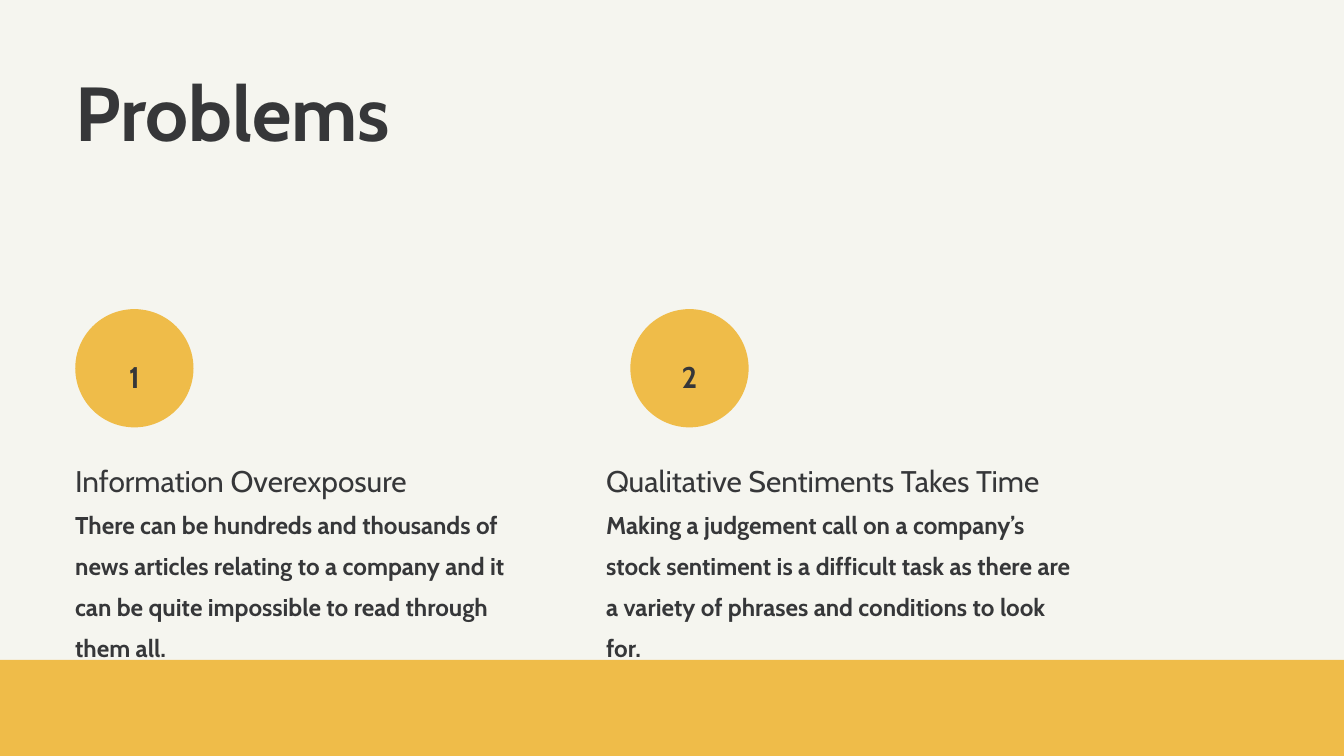
from dataclasses import dataclass

from pptx import Presentation
from pptx.dml.color import RGBColor
from pptx.enum.shapes import MSO_SHAPE
from pptx.enum.text import MSO_ANCHOR, MSO_AUTO_SIZE, PP_ALIGN
from pptx.util import Inches, Pt

INK = "363739"
GOLD = "EFBC49"
PAPER = "F5F5EF"
WIDE = 10
HIGH = WIDE * 9 / 16
LEFT = 0.56
BAND = 4.91
FRAME = {
    "margin_left": 0,
    "margin_top": 0,
    "margin_right": 0,
    "margin_bottom": 0,
    "word_wrap": True,
    "auto_size": MSO_AUTO_SIZE.NONE,
    "vertical_anchor": MSO_ANCHOR.TOP,
}


@dataclass
class Item:
    mark: str
    disc: float
    left: float
    head: str
    body: str


ITEMS = [
    Item(
        "1", LEFT, LEFT, "Information Overexposure",
        "There can be hundreds and thousands of news articles relating to a "
        "company and it can be quite impossible to read through them all.",
    ),
    Item(
        "2", 4.69, 4.51, "Qualitative Sentiments Takes Time",
        "Making a judgement call on a company’s stock sentiment is a difficult "
        "task as there are a variety of phrases and conditions to look for.",
    ),
]


def paint(color, code: str) -> None:
    color.rgb = RGBColor.from_string(code)


def format_all(target, values: dict) -> None:
    for name, value in values.items():
        setattr(target, name, value)


def add_run(para, text: str, size: float, bold: bool) -> None:
    run = para.add_run()
    run.text = text
    format_all(run.font, {"name": "Cabin", "size": Pt(size), "bold": bold})
    paint(run.font.color, INK)


def set_up(shape, space: float, align=PP_ALIGN.LEFT):
    format_all(shape.text_frame, FRAME)
    para = shape.text_frame.paragraphs[0]
    format_all(para, {"line_spacing": space, "alignment": align})
    return para


def add_box(slide, left: float, top: float, width: float, height: float):
    return slide.shapes.add_textbox(
        Inches(left), Inches(top), Inches(width), Inches(height)
    )


def add_fill(slide, kind, left: float, top: float, width: float, height: float) -> None:
    shape = slide.shapes.add_shape(
        kind, Inches(left), Inches(top), Inches(width), Inches(height)
    )
    shape.shadow.inherit = False
    shape.fill.solid()
    paint(shape.fill.fore_color, GOLD)
    shape.line.fill.background()


def add_mark(slide, item: Item) -> None:
    add_fill(slide, MSO_SHAPE.OVAL, item.disc, 2.3, 0.88, 0.88)
    box = add_box(slide, item.disc + 0.23, 2.6, 0.42, 0.27)
    add_run(set_up(box, 1.25, PP_ALIGN.CENTER), item.mark, 16, True)


def add_copy(slide, item: Item) -> None:
    para = set_up(add_box(slide, item.left, 3.34, 3.46, 1.53), 1.4)
    add_run(para, item.head, 16, False)
    para.add_line_break()
    add_run(para, item.body, 13, True)


def main() -> None:
    deck = Presentation()
    format_all(deck, {"slide_width": Inches(WIDE), "slide_height": Inches(HIGH)})
    slide = deck.slides.add_slide(deck.slide_layouts[5])
    slide.background.fill.solid()
    paint(slide.background.fill.fore_color, PAPER)

    title = slide.shapes.title
    format_all(title, {
        "left": Inches(LEFT),
        "top": Inches(0.56),
        "width": Inches(7.09),
        "height": Inches(0.79),
    })
    add_run(set_up(title, 0.9), "Problems", 41, True)

    for item in ITEMS:
        add_mark(slide, item)
    add_fill(slide, MSO_SHAPE.RECTANGLE, 0, BAND, WIDE, HIGH - BAND)
    for item in ITEMS:
        add_copy(slide, item)
    deck.save("out.pptx")


if __name__ == "__main__":
    main()
